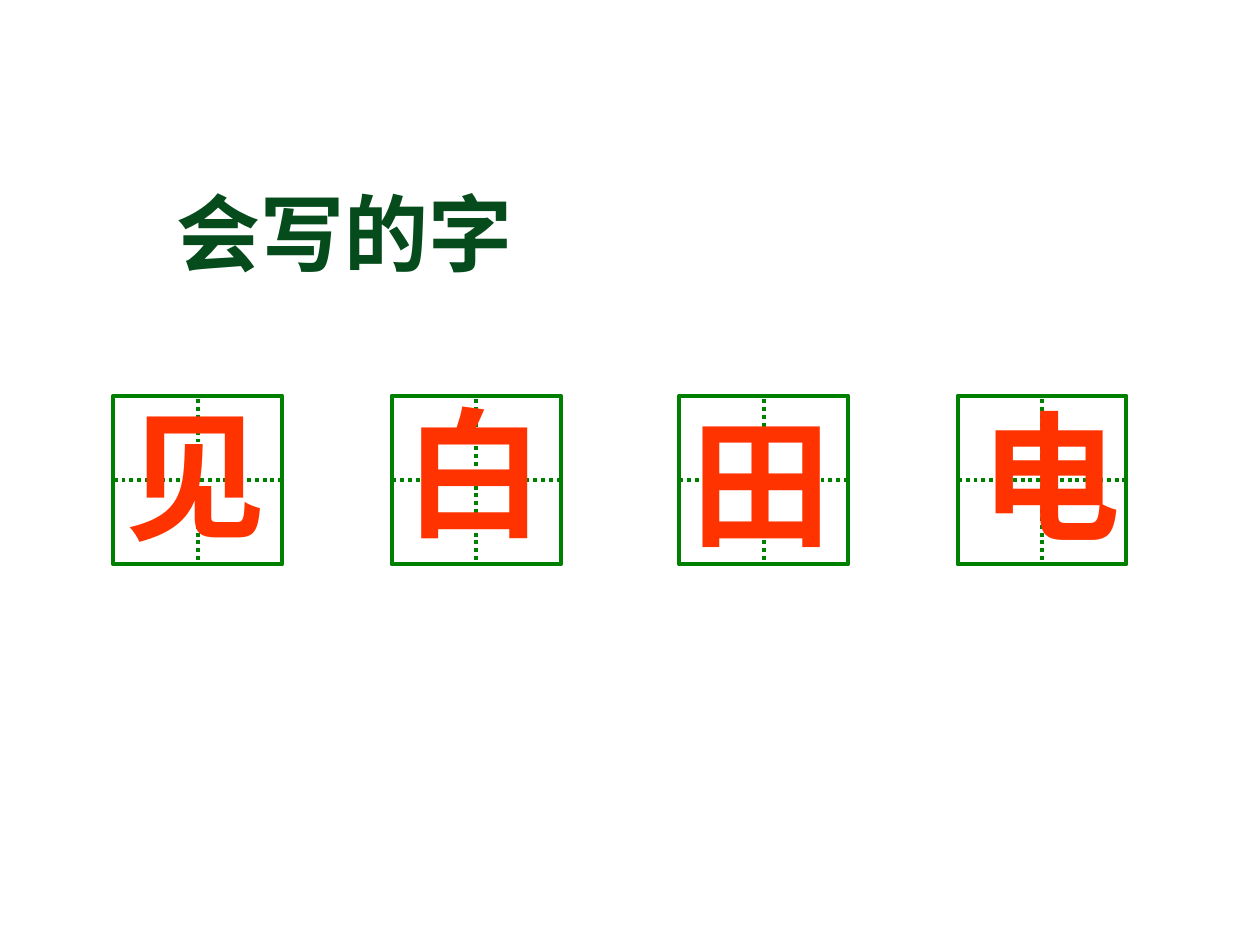
from dataclasses import dataclass

from lxml import etree
from pptx import Presentation
from pptx.dml.color import RGBColor
from pptx.enum.dml import MSO_LINE
from pptx.enum.shapes import MSO_CONNECTOR, MSO_SHAPE
from pptx.enum.text import MSO_ANCHOR, MSO_AUTO_SIZE, PP_ALIGN
from pptx.oxml.ns import qn
from pptx.util import Inches, Pt

RECT = MSO_SHAPE.RECTANGLE
STRAIGHT = MSO_CONNECTOR.STRAIGHT
DOTTED = MSO_LINE.ROUND_DOT
TOP = MSO_ANCHOR.TOP
LEFT = PP_ALIGN.LEFT
NO_FIT = MSO_AUTO_SIZE.NONE
SIDE_LEFT, SIDE_BOTTOM, SIDE_RIGHT = 1, 2, 3


@dataclass(frozen=True)
class Theme:
    """Colours, font and sizes of the slide."""
    font: str = "Arial"
    title: RGBColor = RGBColor(0x05, 0x4B, 0x1B)
    glyph: RGBColor = RGBColor(0xFF, 0x33, 0x00)
    grid: RGBColor = RGBColor(0x00, 0x80, 0x00)
    paper: RGBColor = RGBColor(0xFF, 0xFF, 0xFF)
    title_size: Pt = Pt(48)
    glyph_size: Pt = Pt(80)
    line_width: Pt = Pt(2.25)


THEME = Theme()
CELL_TOP, CELL_SIZE, GUIDE_INSET, GLYPH_HEIGHT = 3.14, 1.34, 0.03, 1.44
CHARACTERS = [
    ("见", 0.9, 0.9, 3.04, 1.34),
    ("白", 3.11, 3.11, 3.02, 1.42),
    ("田", 5.39, 5.39, 3.1, 1.26),
    ("电", 7.6, 7.68, 3.04, 1.34),
]


def set_attrs(obj, values):
    """Set every attribute named in values on obj."""
    for name, value in values.items():
        setattr(obj, name, value)


def write_text(shape, text, size, color):
    """Put one bold line of text at the top left of a shape."""
    tf = shape.text_frame
    set_attrs(tf, {
        "word_wrap": True, "auto_size": NO_FIT, "vertical_anchor": TOP,
        "margin_left": Inches(0.1), "margin_right": Inches(0.1),
        "margin_top": Inches(0.05), "margin_bottom": Inches(0.05),
    })
    p = tf.paragraphs[0]
    p.alignment = LEFT
    r = p.add_run()
    r.text = text
    set_attrs(r.font, {"name": THEME.font, "size": size, "bold": True})
    r.font.color.rgb = color


def add_title(s, text):
    """Place and fill the title placeholder."""
    title = s.shapes.title
    set_attrs(title, {"left": Inches(1.3), "top": Inches(1.39),
                      "width": Inches(3.23), "height": Inches(0.9)})
    write_text(title, text, THEME.title_size, THEME.title)


def style_line(line):
    """Give a line the colour and width of the writing grid."""
    line.color.rgb = THEME.grid
    line.width = THEME.line_width


def add_guide(group, start, end):
    """Add a dotted guide line between two points."""
    guide = group.shapes.add_connector(
        STRAIGHT, *(Inches(v) for v in (*start, *end)))
    style_line(guide.line)
    guide.line.dash_style = DOTTED
    etree.SubElement(guide._element.spPr, qn("a:effectLst"))
    return guide


def add_square(group, left):
    """Add the outlined square of a writing cell."""
    square = group.shapes.add_shape(
        RECT, *(Inches(v) for v in (left, CELL_TOP, CELL_SIZE, CELL_SIZE)))
    square.shadow.inherit = False
    square.fill.solid()
    square.fill.fore_color.rgb = THEME.paper
    style_line(square.line)
    return square


def add_cell(s, char, left, text_left, text_top, text_width):
    """Add a grouped writing cell with its guides and character."""
    group = s.shapes.add_group_shape()
    square = add_square(group, left)
    mid_x, mid_y = left + CELL_SIZE / 2, CELL_TOP + CELL_SIZE / 2
    across = add_guide(group, (left + CELL_SIZE, mid_y), (left, mid_y))
    across.begin_connect(square, SIDE_RIGHT)
    across.end_connect(square, SIDE_LEFT)
    down = add_guide(group, (mid_x, CELL_TOP + GUIDE_INSET),
                     (mid_x, CELL_TOP + CELL_SIZE))
    down.end_connect(square, SIDE_BOTTOM)
    box = group.shapes.add_textbox(
        *(Inches(v) for v in (text_left, text_top, text_width, GLYPH_HEIGHT)))
    write_text(box, char, THEME.glyph_size, THEME.glyph)


def main():
    """Build the slide and save it."""
    prs = Presentation()
    prs.slide_width, prs.slide_height = Inches(10), Inches(7.5)
    s = prs.slides.add_slide(prs.slide_layouts[5])
    add_title(s, "会写的字")
    for character in CHARACTERS:
        add_cell(s, *character)
    prs.save("out.pptx")


if __name__ == "__main__":
    main()
